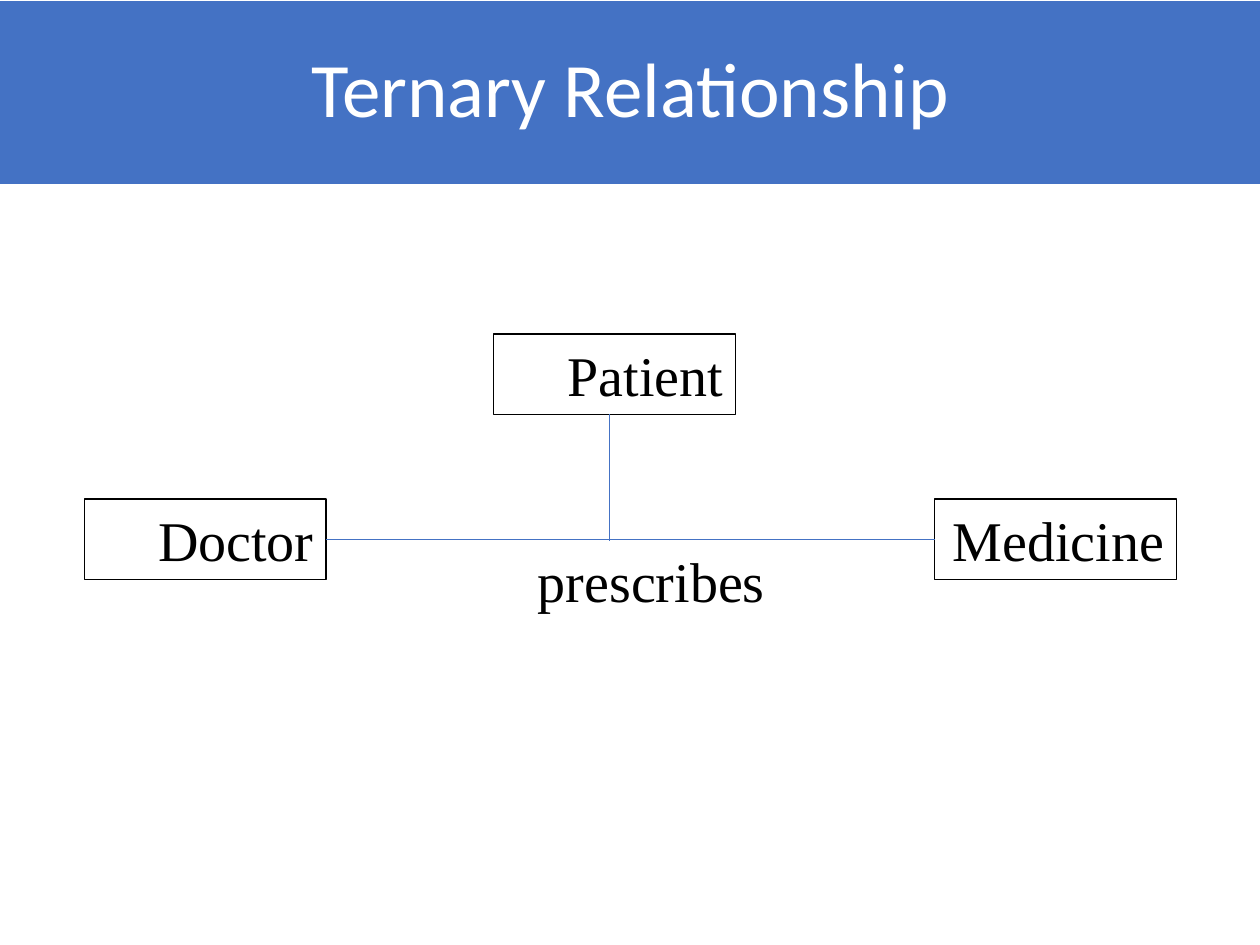
from lxml import etree
from pptx import Presentation
from pptx.dml.color import RGBColor
from pptx.enum.shapes import MSO_CONNECTOR, MSO_SHAPE
from pptx.enum.text import MSO_ANCHOR, PP_ALIGN
from pptx.oxml.ns import qn
from pptx.util import Pt

COLORS = {"accent": "4472C4", "white": "FFFFFF", "black": "000000"}
TITLE = "Ternary Relationship"
ENTITIES = {"Doctor": (48.2, 285.1), "Patient": (282.2, 190.8), "Medicine": (534.2, 285.1)}
RELATIONSHIP = "prescribes"
ENTITY_WIDTH, ENTITY_HEIGHT = 138.2, 46
BRANCH_X = 348.5


def color(name):
    return RGBColor.from_string(COLORS[name])


def write(shape, text, font_name, size, font_color, align, anchor):
    frame = shape.text_frame
    frame.word_wrap = True
    frame.vertical_anchor = anchor
    frame.text = text
    paragraph = frame.paragraphs[0]
    paragraph.alignment = align
    font = paragraph.runs[0].font
    font.name, font.size = font_name, Pt(size)
    font.color.rgb = color(font_color)
    return paragraph


def write_label(shape, text):
    write(shape, text, "Times New Roman", 32, "black", PP_ALIGN.RIGHT, MSO_ANCHOR.TOP)


def add_rectangle(left, top, width, height):
    rectangle = slide.shapes.add_shape(
        MSO_SHAPE.RECTANGLE, Pt(left), Pt(top), Pt(width), Pt(height))
    rectangle.shadow.inherit = False
    return rectangle


def add_line(x1, y1, x2, y2):
    line = slide.shapes.add_connector(
        MSO_CONNECTOR.STRAIGHT, Pt(x1), Pt(y1), Pt(x2), Pt(y2))
    line.line.color.rgb = color("accent")
    line.line.width = Pt(0.5)
    etree.SubElement(line._element.spPr, qn("a:effectLst"))
    return line


prs = Presentation()
prs.slide_width, prs.slide_height = Pt(720), Pt(540)
slide = prs.slides.add_slide(prs.slide_layouts[6])

banner = add_rectangle(0, 0.7, 720.7, 104.4)
banner.fill.solid()
banner.fill.fore_color.rgb = color("accent")
banner.line.fill.background()
heading = write(banner, TITLE, "Calibri", 44, "white", PP_ALIGN.CENTER, MSO_ANCHOR.MIDDLE)
heading.line_spacing = 0.9

entities = {}
for name, (left, top) in ENTITIES.items():
    entity = add_rectangle(left, top, ENTITY_WIDTH, ENTITY_HEIGHT)
    entity.fill.background()
    entity.line.color.rgb = color("black")
    entity.line.width = Pt(0.75)
    write_label(entity, name)
    entities[name] = entity

relationship = slide.shapes.add_textbox(Pt(276.5), Pt(308.9), Pt(167.8), Pt(ENTITY_HEIGHT))
write_label(relationship, RELATIONSHIP)

doctor_left, doctor_top = ENTITIES["Doctor"]
link_y = doctor_top + ENTITY_HEIGHT / 2
link = add_line(doctor_left + ENTITY_WIDTH, link_y, ENTITIES["Medicine"][0], link_y)
link.begin_connect(entities["Doctor"], 3)
link.end_connect(entities["Medicine"], 1)
add_line(BRANCH_X, ENTITIES["Patient"][1] + ENTITY_HEIGHT, BRANCH_X, 308.9)

prs.save("out.pptx")
